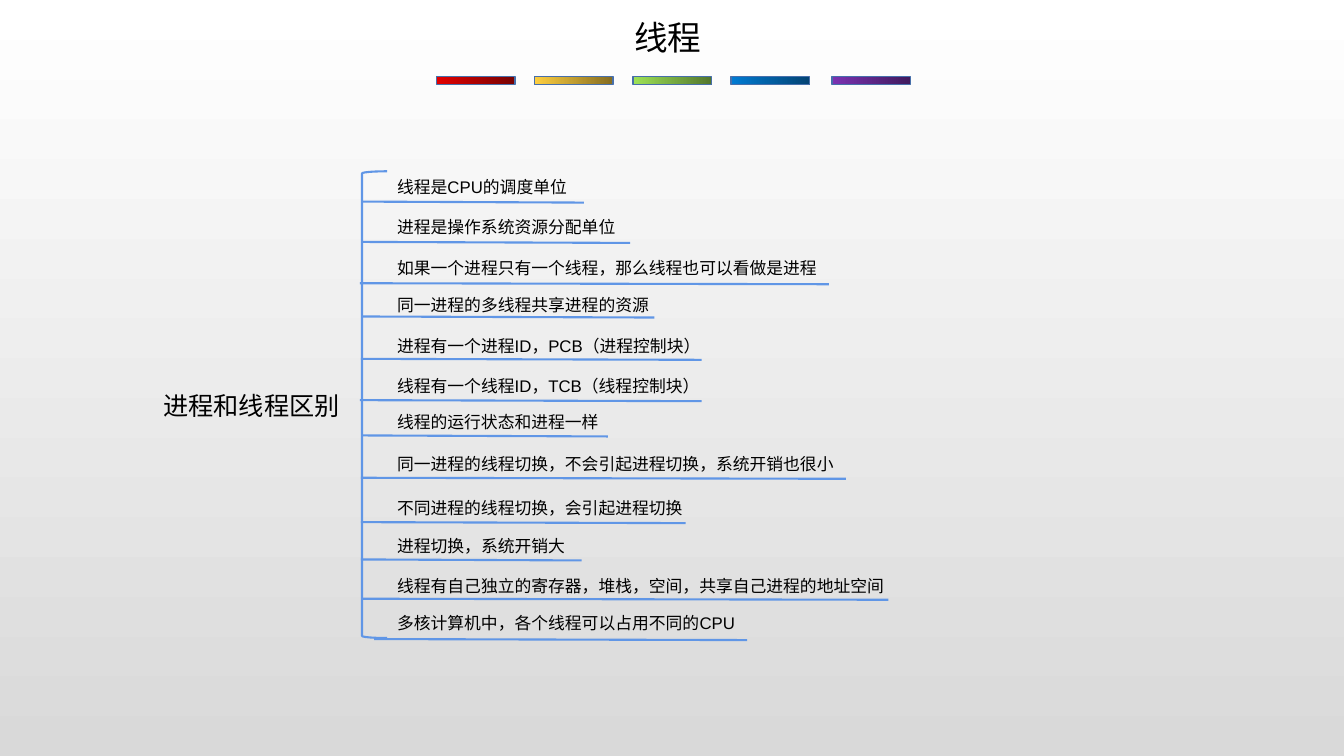
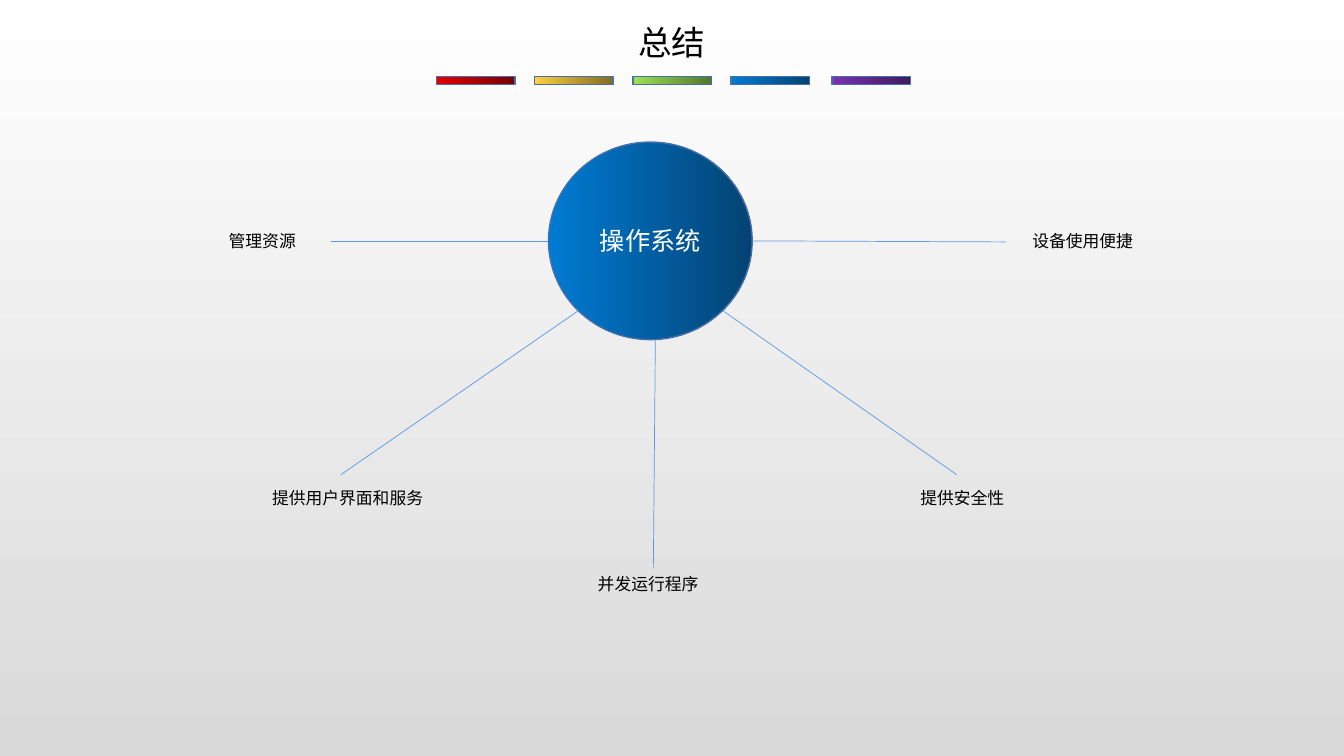
from lxml import etree
from pptx import Presentation
from pptx.dml.color import RGBColor
from pptx.enum.shapes import MSO_CONNECTOR, MSO_SHAPE
from pptx.enum.text import MSO_ANCHOR, MSO_AUTO_SIZE, PP_ALIGN
from pptx.oxml.ns import qn
from pptx.util import Inches, Pt

RECT, OVAL = MSO_SHAPE.RECTANGLE, MSO_SHAPE.OVAL
BRACKET = MSO_SHAPE.LEFT_BRACKET
STRAIGHT = MSO_CONNECTOR.STRAIGHT
LEFT, CENTER = PP_ALIGN.LEFT, PP_ALIGN.CENTER
MIDDLE = MSO_ANCHOR.MIDDLE
GROW = MSO_AUTO_SIZE.SHAPE_TO_FIT_TEXT

FONT = "Arial"
COLORS = {"text": "000000", "light": "FFFFFF", "edge": "476FAA", "line": "6096E6"}
GRADS = {
    "page": ("FFFFFF", "D9D9D9"),
    "red": ("E30000", "760303"),
    "gold": ("FECF40", "846C21"),
    "green": ("9EE256", "52762D"),
    "blue": ("007BD3", "034373"),
    "violet": ("7B32B2", "401A5D"),
}
BARS = [("red", 4.33), ("gold", 5.3), ("green", 6.28), ("blue", 7.25), ("violet", 8.25)]

TOPIC = "进程和线程区别"
# text, top, width, underline start, underline end, underline height
POINTS = [
    ("线程是CPU的调度单位", 1.7, 3.17, 3.59, 5.79, 2),
    ("进程是操作系统资源分配单位", 2.1, 3.8, 3.59, 6.25, 2.4),
    ("如果一个进程只有一个线程，那么线程也可以看做是进程", 2.51, 5.68, 3.57, 8.22, 2.81),
    ("同一进程的多线程共享进程的资源", 2.87, 3.02, 3.59, 6.49, 3.14),
    ("进程有一个进程ID，PCB（进程控制块）", 3.28, 3.61, 3.58, 6.96, 3.56),
    ("线程有一个线程ID，TCB（线程控制块）", 3.68, 3.61, 3.57, 6.96, 3.97),
    ("线程的运行状态和进程一样", 4.04, 2.94, 3.59, 6.03, 4.32),
    ("同一进程的线程切换，不会引起进程切换，系统开销也很小", 4.45, 5.01, 3.58, 8.39, 4.74),
    ("不同进程的线程切换，会引起进程切换", 4.89, 3.84, 3.58, 6.8, 5.18),
    ("进程切换，系统开销大", 5.27, 2.98, 3.58, 5.77, 5.55),
    ("线程有自己独立的寄存器，堆栈，空间，共享自己进程的地址空间", 5.66, 6.01, 3.59, 8.81, 5.94),
    ("多核计算机中，各个线程可以占用不同的CPU", 6.03, 4.4, 3.71, 7.41, 6.34),
]
SLOPE = 0.01

HUB = "操作系统"
# text, left, top, width, wrap, spoke start, spoke end
SPOKES = [
    ("提供用户界面和服务", 2.6, 4.79, 1.9, True, (5.74, 3.08), (3.38, 4.71)),
    ("管理资源", 2.17, 2.24, 0.9, True, (5.44, 2.39), (3.28, 2.39)),
    ("并发运行程序", 5.83, 5.64, 1.25, True, (6.5, 3.37), (6.48, 5.64)),
    ("提供安全性", 9.03, 4.79, 1.03, False, (7.18, 3.09), (9.49, 4.71)),
    ("设备使用便捷", 10.14, 2.24, 1.2, False, (7.46, 2.39), (9.98, 2.4)),
]


def rgb(name):
    return RGBColor.from_string(COLORS[name])


def shade(fill, name, angle=0):
    """Give a fill a two-stop gradient; angle runs counter-clockwise."""
    fill.gradient()
    fill.gradient_angle = angle
    for stop, tone in zip(fill.gradient_stops, GRADS[name]):
        stop.color.rgb = RGBColor.from_string(tone)


def write(frame, text, size=12, color="text", align=LEFT, wrap=True):
    frame.word_wrap = wrap
    par = frame.paragraphs[0]
    par.alignment = align
    run = par.add_run()
    run.text = text
    run.font.name, run.font.size = FONT, Pt(size)
    run.font.color.rgb = rgb(color)


def add_label(slide, text, left, top, width, height=0.3, **style):
    box = slide.shapes.add_textbox(*map(Inches, (left, top, width, height)))
    write(box.text_frame, text, **style)
    box.text_frame.auto_size = GROW


def add_form(slide, kind, area, grad=None, edge="edge", weight=1):
    form = slide.shapes.add_shape(kind, *map(Inches, area))
    form.shadow.inherit = False
    if grad:
        shade(form.fill, grad)
    else:
        form.fill.background()
    form.line.color.rgb = rgb(edge)
    form.line.width = Pt(weight)
    return form


def add_line(slide, start, end, weight):
    line = slide.shapes.add_connector(STRAIGHT, *map(Inches, (*start, *end)))
    line.line.color.rgb = rgb("line")
    line.line.width = Pt(weight)
    etree.SubElement(line._element.spPr, qn("a:effectLst"))


def new_slide(prs, title, left, top):
    """Add a blank slide with the colour bars and a title."""
    slide = prs.slides.add_slide(prs.slide_layouts[6])
    for grad, x in BARS:
        add_form(slide, RECT, (x, 0.76, 0.78, 0.08), grad)
    add_label(slide, title, left, top, 0.87, 0.5, size=24, wrap=False)
    return slide


def thread_slide(prs):
    slide = new_slide(prs, "线程", 6.19, 0.12)
    add_label(slide, TOPIC, 1.52, 3.82, 1.95, 0.4, size=18, wrap=False)
    add_form(slide, BRACKET, (3.59, 1.7, 0.25, 4.63), edge="line", weight=1.5)
    for text, top, width, start, end, y in POINTS:
        add_label(slide, text, 3.84, top, width)
        add_line(slide, (start, y), (end, y + SLOPE), 1.5)


def summary_slide(prs):
    slide = new_slide(prs, "总结", 6.23, 0.17)
    hub = add_form(slide, OVAL, (5.44, 1.41, 2.02, 1.96), "blue")
    hub.text_frame.vertical_anchor = MIDDLE
    write(hub.text_frame, HUB, size=18, color="light", align=CENTER)
    for text, left, top, width, wrap, start, end in SPOKES:
        add_line(slide, start, end, 0.5)
        add_label(slide, text, left, top, width, wrap=wrap)


def main():
    prs = Presentation()
    prs.slide_width, prs.slide_height = Inches(13.33), Inches(7.5)
    shade(prs.slide_master.background.fill, "page", 270)
    thread_slide(prs)
    summary_slide(prs)
    prs.save("out.pptx")


if __name__ == "__main__":
    main()
